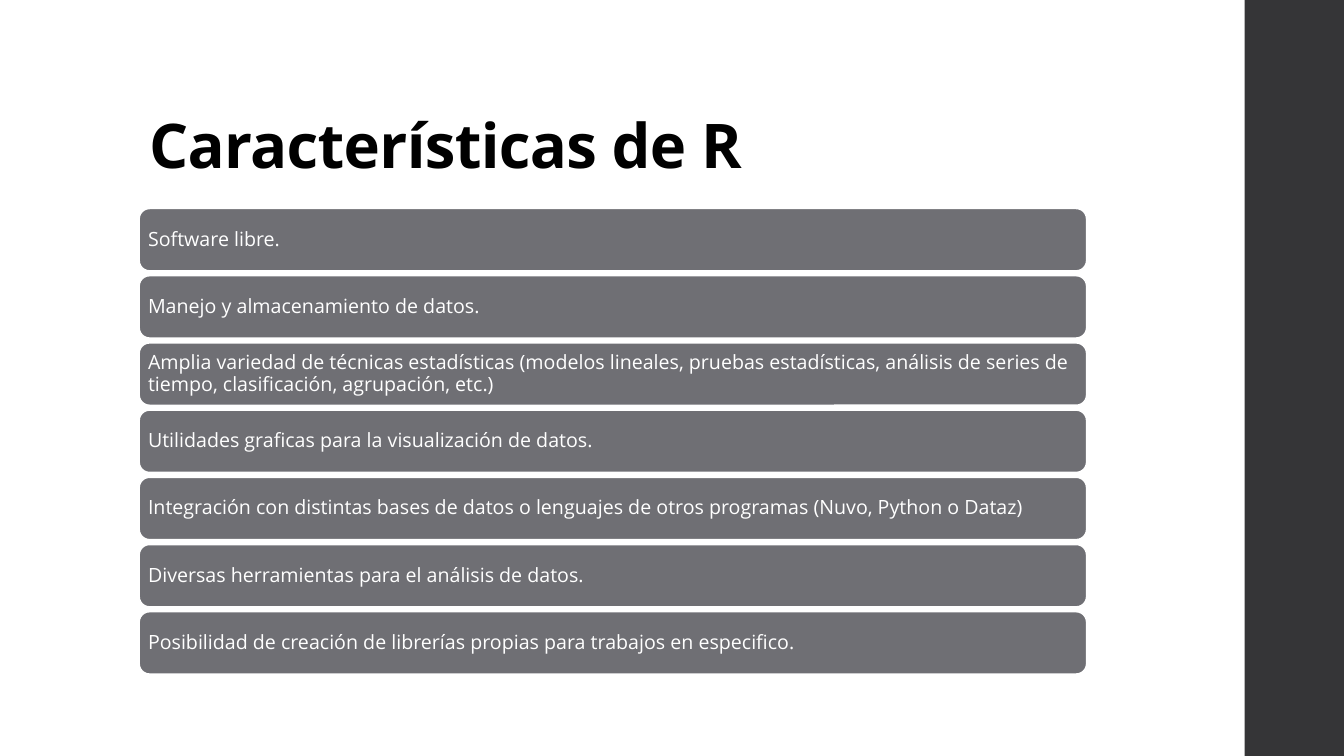
from pptx import Presentation
from pptx.dml.color import RGBColor
from pptx.enum.shapes import MSO_SHAPE
from pptx.enum.text import MSO_ANCHOR, PP_ALIGN
from pptx.util import Pt

FEATURES = [
    "Software libre.",
    "Manejo y almacenamiento de datos.",
    "Amplia variedad de técnicas estadísticas (modelos lineales, pruebas estadísticas, "
    "análisis de series de tiempo, clasificación, agrupación, etc.)",
    "Utilidades graficas para la visualización de datos.",
    "Integración con distintas bases de datos o lenguajes de otros programas "
    "(Nuvo, Python o Dataz)",
    "Diversas herramientas para el análisis de datos.",
    "Posibilidad de creación de librerías propias para trabajos en especifico.",
]


def color(value):
    return RGBColor.from_string(value)


def set_values(target, values):
    for name, value in values.items():
        setattr(target, name, value)


def place(box):
    return [Pt(length) for length in box]


def add_block(page, box, preset, fill):
    block = page.shapes.add_shape(preset, *place(box))
    block.shadow.inherit = False
    block.fill.solid()
    block.fill.fore_color.rgb = color(fill)
    block.line.fill.background()
    return block


def write(shape, text, frame_values, font_values, font_color):
    frame = shape.text_frame
    set_values(frame, {"word_wrap": True, **frame_values})
    para = frame.paragraphs[0]
    set_values(para, {"alignment": PP_ALIGN.LEFT, "line_spacing": 0.9})
    span = para.add_run()
    span.text = text
    set_values(span.font, {"name": "Open Sans", **font_values})
    span.font.color.rgb = color(font_color)
    return span


def add_side_band(page, box):
    add_block(page, box, MSO_SHAPE.RECTANGLE, "353537")


def add_title(page, box):
    title = page.shapes.add_textbox(*place(box))
    span = write(title, "Características de R", {"vertical_anchor": MSO_ANCHOR.BOTTOM},
                 {"size": Pt(44), "bold": True}, "000000")
    span._r.get_or_add_rPr().set("spc", "-50")


def add_feature_list(page, box, features, gap):
    left, top, width, height = box
    bar_height = (height - gap * (len(features) - 1)) / len(features)
    margins = {f"margin_{side}": Pt(4.2) for side in ("left", "top", "right", "bottom")}
    for index, feature in enumerate(features):
        bar_top = top + index * (bar_height + gap)
        bar = add_block(page, (left, bar_top, width, bar_height),
                        MSO_SHAPE.ROUNDED_RECTANGLE, "6F6F74")
        bar.line.color.rgb = color("FFFFFF")
        bar.line.width = Pt(1.1)
        write(bar, feature, {"vertical_anchor": MSO_ANCHOR.MIDDLE, **margins},
              {"size": Pt(14)}, "FFFFFF")


def build_features_page(page, box):
    left, top, width, height = box
    add_side_band(page, (left + width - 71, top, 71, height))
    add_title(page, (left + 99.4, top + 28.8, 763.2, 104.4))
    add_feature_list(page, (left + 99.4, top + 148.9, 676.8, 332.6), FEATURES, 3.4)


deck = Presentation()
set_values(deck, {"slide_width": Pt(960), "slide_height": Pt(540)})
build_features_page(deck.slides.add_slide(deck.slide_layouts[6]), (0, 0, 960, 540))
deck.save("out.pptx")
